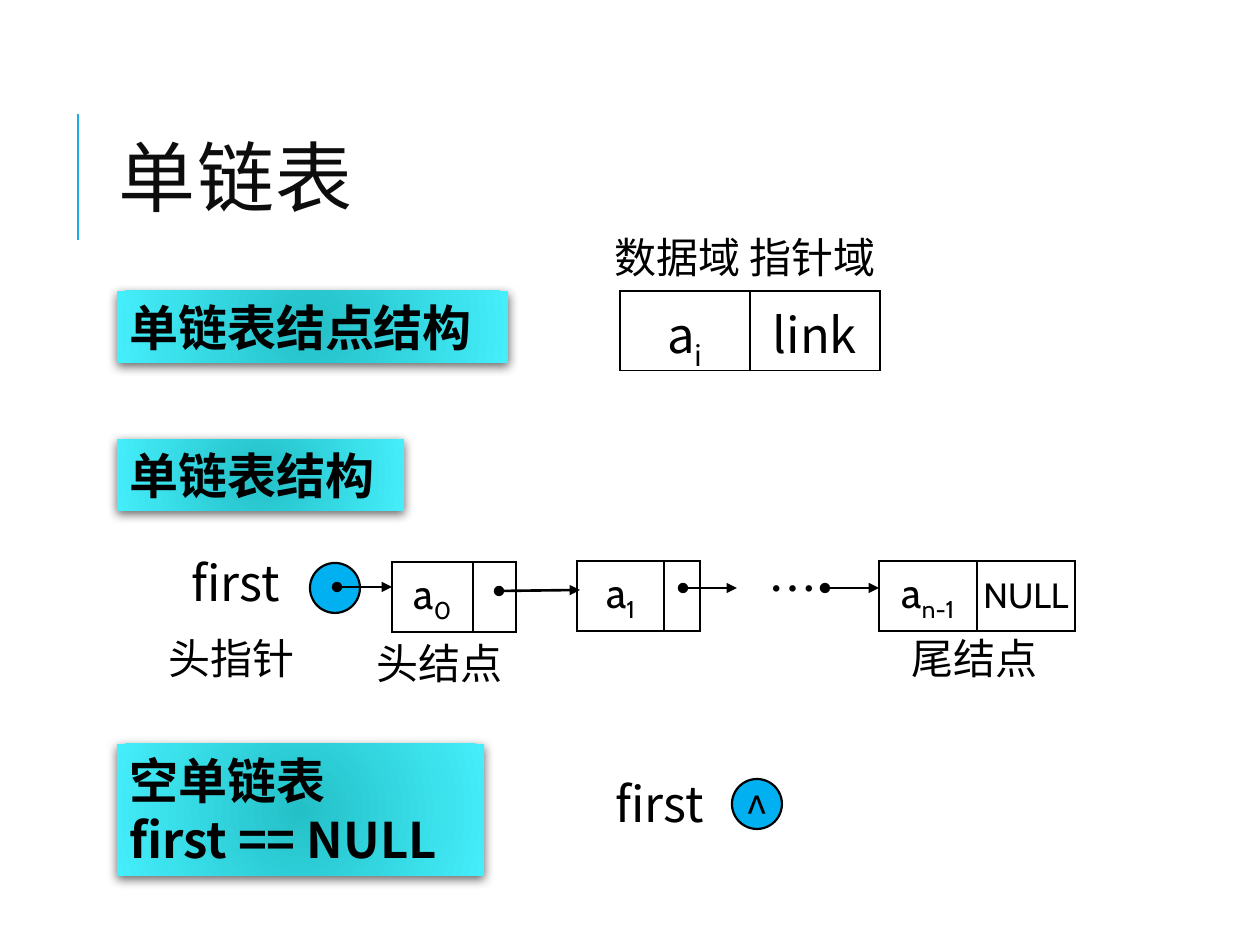
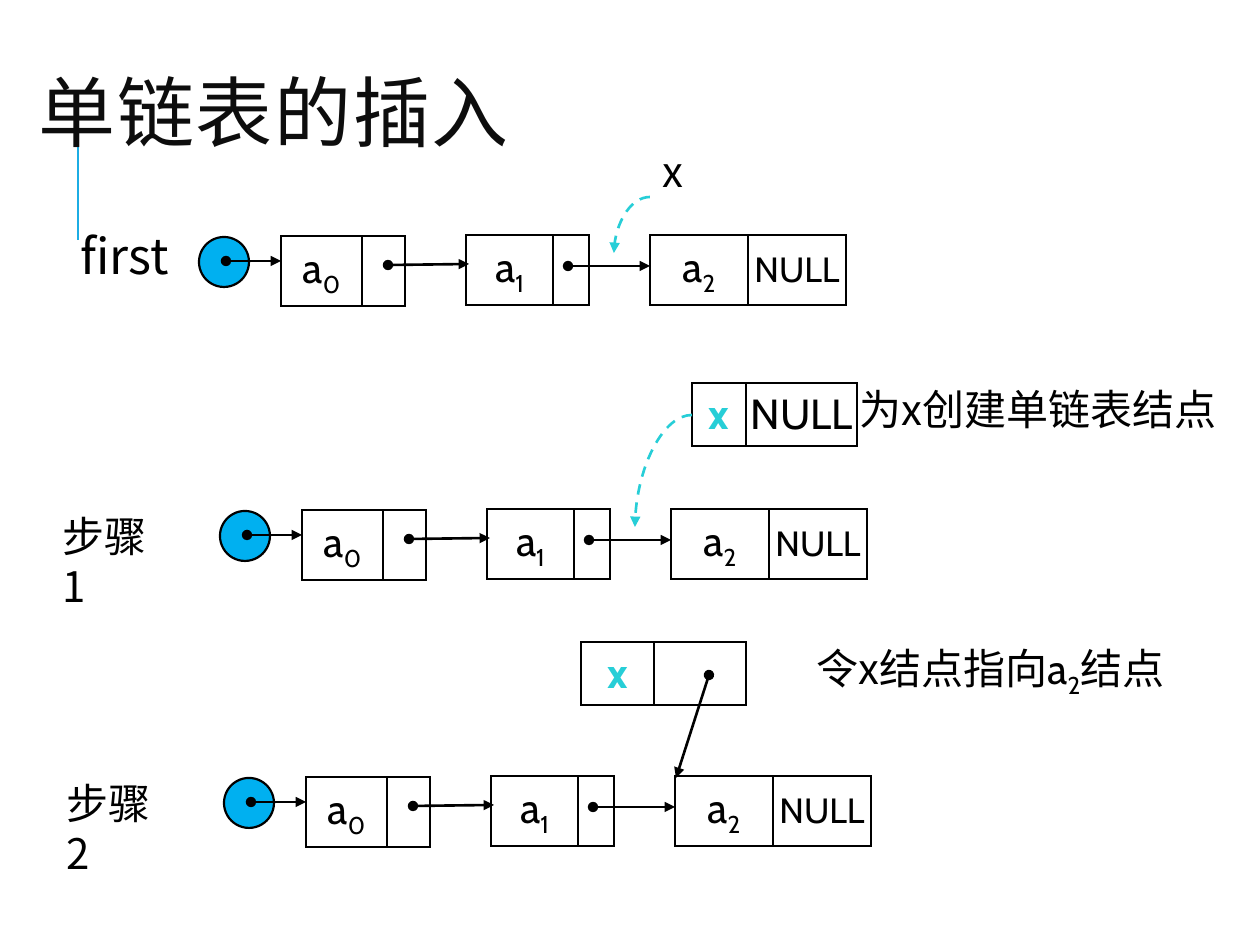
from lxml import etree
from pptx import Presentation
from pptx.dml.color import RGBColor
from pptx.enum.dml import MSO_LINE
from pptx.enum.shapes import MSO_CONNECTOR, MSO_SHAPE
from pptx.enum.text import MSO_ANCHOR, PP_ALIGN
from pptx.oxml import parse_xml
from pptx.oxml.ns import qn
from pptx.util import Pt

STRAIGHT, CURVE = MSO_CONNECTOR.STRAIGHT, MSO_CONNECTOR.CURVE
RECTANGLE, OVAL = MSO_SHAPE.RECTANGLE, MSO_SHAPE.OVAL
TOP, MIDDLE = MSO_ANCHOR.TOP, MSO_ANCHOR.MIDDLE
LEFT, CENTER = PP_ALIGN.LEFT, PP_ALIGN.CENTER
DASH = MSO_LINE.DASH

SCALE = 914400 / 126
COLORS = {"ink": "000000", "title": "0D0D0D", "rule": "1CADE4", "pointer": "00B0F0",
          "insert": "27CED7", "glow_in": "24C0C8", "glow_out": "44EEFA"}
CJK, LATIN = "Noto Sans CJK SC", "Cabin"
XMLNS = 'xmlns:a="http://schemas.openxmlformats.org/drawingml/2006/main"'


def indexed(index, **style):
    return [("a", style), (index, {**style, "base": -25000})]


NULL = [("NULL", {"size": 20})]
NEW_ITEM = [("x", {"color": "insert", "bold": True})]

STRUCTURE = {
    "title": ("单链表", (106, 81, 1004, 207)),
    "banners": [
        (["单链表结点结构"], (117, 291, 391, 72)),
        (["单链表结构"], (117, 439, 287, 72)),
        (["空单链表", "first == NULL"], (117, 744, 367, 132)),
    ],
    "chains": [{"origin": (392, 562), "last": "n-1", "last_x": 487,
                "links": [(291, 26, 345), (433, 26, 487)]}],
    "tables": [((620, 291), (130, 130), 78,
                [indexed("i", font=CJK, size=28), [("link", {"font": CJK, "size": 28})]])],
    "labels": [
        ("first", 28, (179, 546, 154)), ("头指针", 24, (156, 626, 154)),
        ("头结点", 24, (364, 631, 164)), ("尾结点", 24, (899, 626, 169)),
        ("数据域", 24, (602, 225, 198)), ("指针域", 24, (737, 225, 169)),
        ("…", 28, (756, 552, 54)), ("first", 28, (603, 767, 154)),
    ],
    "empty_pointer": ((732, 779), ("^", 24, (733, 779, 52))),
}

INSERTION = {
    "title": ("单链表的插入", (26, 25, 1058, 189)),
    "chains": [{"origin": origin, "last": "2", "last_x": 369,
                "links": [(287, 30, 369)]}
               for origin in [(281, 236), (302, 510), (306, 777)]],
    "tables": [
        ((692, 383), (54, 111), 63, [NEW_ITEM, [("NULL", {})]]),
        ((581, 642), (73, 92), 63, [NEW_ITEM, None]),
    ],
    "labels": [
        ("first", 28, (68, 219, 154)), ("x", 24, (650, 139, 117)),
        ("步骤1", 24, (50, 504, 130)), ("步骤2", 24, (54, 771, 130)),
        ("为x创建单链表结点", 24, (847, 377, 388)),
        ([("令x结点指向", {}), *indexed("2", font=LATIN), ("结点", {})], 24, (804, 636, 412)),
    ],
    "curves": [((650, 197), (614, 253)), ((692, 415), (635, 527))],
    "arrows": [((709, 675), (676, 778))],
}


def px(*values):
    return [round(value * SCALE) for value in values]


def rgb(name):
    return RGBColor.from_string(COLORS[name])


def write(frame, lines, size, font, color="ink", bold=False, align=LEFT, spacing=None):
    for number, spans in enumerate(lines):
        para = frame.paragraphs[0] if number == 0 else frame.add_paragraph()
        para.alignment = align
        if spacing:
            para.line_spacing = spacing
        for text, style in [(spans, {})] if isinstance(spans, str) else spans:
            span = para.add_run()
            span.text = text
            span.font.size = Pt(style.get("size", size))
            span.font.bold = style.get("bold", bold)
            span.font.color.rgb = rgb(style.get("color", color))
            span.font.name = style.get("font", font)
            props = span.font._element
            etree.SubElement(props, qn("a:ea")).set("typeface", style.get("font", font))
            if "base" in style:
                props.set("baseline", str(style["base"]))


def add_label(page, text, size, place, height=63):
    box = page.shapes.add_textbox(*px(*place, height))
    box.text_frame.word_wrap = True
    write(box.text_frame, [text], size, CJK)


def add_title(page, text, place):
    box = page.shapes.add_textbox(*px(*place))
    frame = box.text_frame
    frame.word_wrap = True
    frame.vertical_anchor = MIDDLE
    write(frame, [text], 44, CJK, "title", spacing=0.8)
    frame.paragraphs[0].runs[0].font._element.set("spc", "100")


def add_line(page, start, end, color="ink", kind=STRAIGHT, head=None, tail=None):
    line = page.shapes.add_connector(kind, *px(*start, *end))
    line.line.width = Pt(1.5)
    line.line.color.rgb = rgb(color)
    if kind == CURVE:
        line.line.dash_style = DASH
        line._element.spPr.find(qn("a:prstGeom")).set("prst", "curvedConnector2")
    outline = line.line._get_or_add_ln()
    for tag, end_type in (("a:headEnd", head), ("a:tailEnd", tail)):
        if end_type:
            etree.SubElement(outline, qn(tag)).set("type", end_type)
    etree.SubElement(line._element.spPr, qn("a:effectLst"))


def add_link(page, start, end):
    add_line(page, start, end, head="oval", tail="triangle")


def add_cells(page, corner, widths, height, contents):
    table = page.shapes.add_table(1, len(widths), *px(*corner, sum(widths), height)).table
    table.first_row = table.horz_banding = False
    table.rows[0].height = px(height)[0]
    for column, width, cell, spans in zip(table.columns, px(*widths), table.rows[0].cells, contents):
        column.width = width
        cell.vertical_anchor = MIDDLE
        if spans:
            if len(spans) == 1:
                cell.margin_left = cell.margin_right = 0
            write(cell.text_frame, [spans], 24, LATIN, align=CENTER)
        props = cell._tc.get_or_add_tcPr()
        for side in ("lnL", "lnR", "lnT", "lnB"):
            props.append(parse_xml(
                f'<a:{side} {XMLNS} w="12700"><a:solidFill><a:srgbClr val="{COLORS["ink"]}"/>'
                f'</a:solidFill></a:{side}>'))
        cell.fill.background()


def add_pointer(page, corner):
    circle = page.shapes.add_shape(OVAL, *px(*corner, 50, 50))
    circle.shadow.inherit = False
    circle.fill.solid()
    circle.fill.fore_color.rgb = rgb("pointer")
    circle.line.color.rgb = rgb("ink")
    circle.line.width = Pt(1.25)


def add_chain(page, origin, last, last_x, links):
    x, y = origin
    add_cells(page, (x, y), (81, 43), 63, [indexed("0"), None])
    add_cells(page, (x + 185, y - 1), (87, 36), 63, [indexed("1"), None])
    add_cells(page, (x + last_x, y - 1), (98, 98), 63, [indexed(last), NULL])
    add_pointer(page, (x - 82, y + 1))
    add_link(page, (x - 55, y + 25), (x, y + 25))
    add_link(page, (x + 107, y + 29), (x + 188, y + 28))
    for start, drop, end in links:
        add_link(page, (x + start, y + drop), (x + end, y + drop))


def add_banner(page, lines, place):
    banner = page.shapes.add_shape(RECTANGLE, *px(*place))
    banner.line.fill.background()
    props = banner._element.spPr
    props.insert(2, parse_xml(
        f'<a:gradFill {XMLNS} rotWithShape="1"><a:gsLst>'
        f'<a:gs pos="0"><a:srgbClr val="{COLORS["glow_in"]}"/></a:gs>'
        f'<a:gs pos="100000"><a:srgbClr val="{COLORS["glow_out"]}"/></a:gs></a:gsLst>'
        '<a:path path="circle"><a:fillToRect l="100000" t="100000" r="100000" b="100000"/>'
        '</a:path></a:gradFill>'))
    props.append(parse_xml(
        f'<a:effectLst {XMLNS}><a:outerShdw blurRad="76200" dist="25400" dir="5400000" '
        f'rotWithShape="0"><a:srgbClr val="{COLORS["ink"]}"><a:alpha val="60000"/>'
        '</a:srgbClr></a:outerShdw></a:effectLst>'))
    frame = banner.text_frame
    frame.word_wrap = True
    frame.vertical_anchor = TOP
    write(frame, lines, 28, CJK, bold=True)


def build_page(deck, content):
    page = deck.slides.add_slide(deck.slide_layouts[6])
    add_line(page, (78, 240), (78, 114), "rule")
    add_title(page, *content["title"])
    for chain in content["chains"]:
        add_chain(page, **chain)
    for table in content["tables"]:
        add_cells(page, *table)
    for banner in content.get("banners", []):
        add_banner(page, *banner)
    for label in content["labels"]:
        add_label(page, *label)
    for start, end in content.get("curves", []):
        add_line(page, start, end, "insert", CURVE, tail="triangle")
    for start, end in content.get("arrows", []):
        add_link(page, start, end)
    if "empty_pointer" in content:
        corner, mark = content["empty_pointer"]
        add_pointer(page, corner)
        add_label(page, *mark)


def main():
    deck = Presentation()
    deck.slide_width, deck.slide_height = px(1260, 945)
    for content in (STRUCTURE, INSERTION):
        build_page(deck, content)
    deck.save("out.pptx")


if __name__ == "__main__":
    main()
